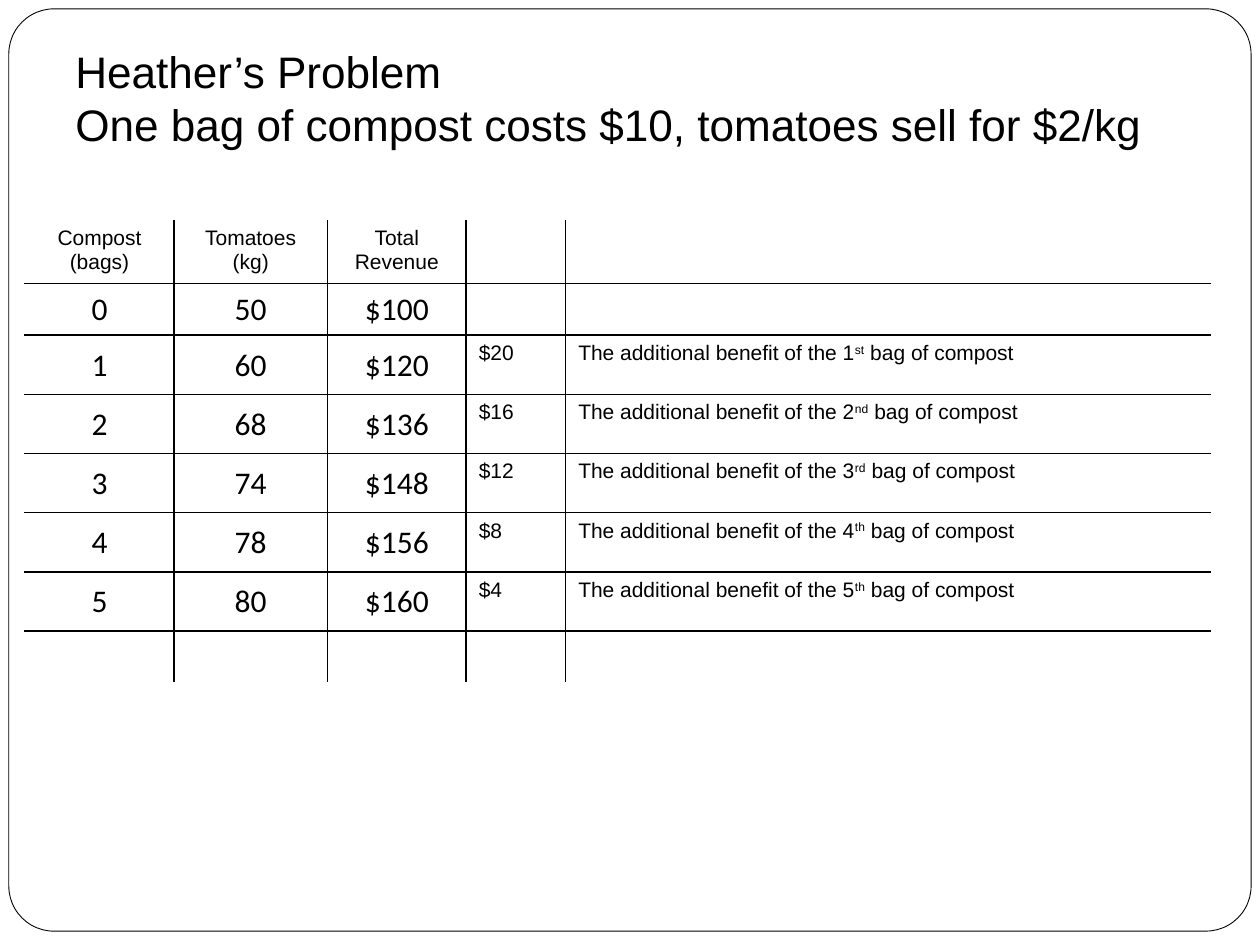
from dataclasses import dataclass

from lxml import etree
from pptx import Presentation
from pptx.dml.color import RGBColor
from pptx.enum.shapes import MSO_SHAPE
from pptx.enum.text import MSO_ANCHOR, PP_ALIGN
from pptx.oxml.ns import qn
from pptx.util import Inches, Pt

LEFT, CENTER = PP_ALIGN.LEFT, PP_ALIGN.CENTER
TOP, MIDDLE = MSO_ANCHOR.TOP, MSO_ANCHOR.MIDDLE
COLOURS = {"ink": "000000", "paper": "FFFFFF"}
WIDTH, HEIGHT = 10, 7.5

TITLE_LINES = [
    "Heather’s Problem",
    "One bag of compost costs $10, tomatoes sell for $2/kg",
]
HEADERS = ["Compost\n(bags)", "Tomatoes\n(kg)", "Total Revenue"]
HARVEST = [50, 60, 68, 74, 78, 80]  # kg of tomatoes, by bags of compost
ORDINALS = ["", "st", "nd", "rd", "th", "th"]
PRICE = 2

COLUMN_WIDTHS = [1.18, 1.22, 1.1, 0.79, 5.12]
ROW_HEIGHTS = [0.48, 0.41] + [0.47] * 5 + [0.41]


@dataclass
class TextStyle:
    font: str
    size: float
    align: PP_ALIGN = LEFT
    anchor: MSO_ANCHOR = TOP
    margin: float | None = None


TITLE_STYLE = TextStyle("Arial", 25.2)
HEADER_STYLE = TextStyle("Arial", 12, CENTER)
NUMBER_STYLE = TextStyle("Calibri", 18, CENTER, MIDDLE, 0.01)
NOTE_STYLE = TextStyle("Arial", 12)


def colour(name: str) -> RGBColor:
    return RGBColor.from_string(COLOURS[name])


def add_span(para, text: str, style: TextStyle, raised: bool = False) -> None:
    span = para.add_run()
    span.text = text
    for name, value in {"name": style.font, "size": Pt(style.size)}.items():
        setattr(span.font, name, value)
    span.font.color.rgb = colour("ink")
    if raised:
        span.font._element.set("baseline", "30000")


def write_cell(cell, spans: list[str], style: TextStyle) -> None:
    """Write spans into a cell; every second span is superscript."""
    cell.vertical_anchor = style.anchor
    if style.margin is not None:
        for side in ("left", "right", "top"):
            setattr(cell, f"margin_{side}", Inches(style.margin))
        cell.margin_bottom = 0
    frame = cell.text_frame
    for number, line in enumerate(spans[0].split("\n")):
        para = frame.add_paragraph() if number else frame.paragraphs[0]
        para.alignment = style.align
        add_span(para, line, style)
    for number, text in enumerate(spans[1:], 1):
        add_span(para, text, style, raised=number % 2 == 1)


def set_borders(cell, row: int, column: int) -> None:
    """Draw inner borders in ink and the table's outer edge in paper."""
    outer = {
        "L": column == 0,
        "R": column == len(COLUMN_WIDTHS) - 1,
        "T": row == 0,
        "B": row == len(ROW_HEIGHTS) - 1,
    }
    properties = cell._tc.get_or_add_tcPr()
    for position, (side, is_outer) in enumerate(outer.items()):
        line = etree.Element(qn(f"a:ln{side}"), w=str(Pt(1)))
        fill = etree.SubElement(line, qn("a:solidFill"))
        shade = COLOURS["paper" if is_outer else "ink"]
        etree.SubElement(fill, qn("a:srgbClr"), val=shade)
        properties.insert(position, line)


def add_frame(page) -> None:
    inset = 0.07
    frame = page.shapes.add_shape(
        MSO_SHAPE.ROUNDED_RECTANGLE, Inches(inset), Inches(inset),
        Inches(WIDTH - 2 * inset), Inches(7.32))
    frame.adjustments[0] = 0.049
    frame.shadow.inherit = False
    frame.fill.solid()
    frame.fill.fore_color.rgb = colour("paper")
    frame.line.color.rgb = colour("ink")
    frame.line.width = Pt(0.5)


def add_title(page) -> None:
    box = page.shapes.add_textbox(
        Inches(WIDTH * 0.05), Inches(HEIGHT * 0.04), Inches(WIDTH * 0.9), Inches(1.25))
    box.text_frame.word_wrap = True
    para = box.text_frame.paragraphs[0]
    para.line_spacing = Pt(30.5)
    for number, line in enumerate(TITLE_LINES):
        if number:
            para.add_line_break()
        add_span(para, line, TITLE_STYLE)


def add_benefit_table(page) -> None:
    table = page.shapes.add_table(
        len(ROW_HEIGHTS), len(COLUMN_WIDTHS), Inches(0.2), Inches(1.75),
        Inches(sum(COLUMN_WIDTHS)), Inches(sum(ROW_HEIGHTS))).table
    table.first_row = table.horz_banding = False
    for column, width in zip(table.columns, COLUMN_WIDTHS):
        column.width = Inches(width)
    for row, height in zip(table.rows, ROW_HEIGHTS):
        row.height = Inches(height)

    # Fills and borders
    for r in range(len(ROW_HEIGHTS)):
        for c in range(len(COLUMN_WIDTHS)):
            cell = table.cell(r, c)
            cell.fill.solid()
            cell.fill.fore_color.rgb = colour("paper")
            set_borders(cell, r, c)

    # Header row
    for c, header in enumerate(HEADERS):
        write_cell(table.cell(0, c), [header], HEADER_STYLE)

    # One row per number of bags, with the gain over the row before
    for bags, harvest in enumerate(HARVEST):
        row = bags + 1
        for c, text in enumerate([f"{bags}", f"{harvest}", f"${harvest * PRICE}"]):
            write_cell(table.cell(row, c), [text], NUMBER_STYLE)
        if bags:
            gain = (harvest - HARVEST[bags - 1]) * PRICE
            write_cell(table.cell(row, 3), [f"${gain}"], NOTE_STYLE)
            note = [f"The additional benefit of the {bags}", ORDINALS[bags], " bag of compost"]
            write_cell(table.cell(row, 4), note, NOTE_STYLE)


def main() -> None:
    deck = Presentation()
    deck.slide_width, deck.slide_height = Inches(WIDTH), Inches(HEIGHT)
    page = deck.slides.add_slide(deck.slide_layouts[6])
    add_frame(page)
    add_title(page)
    add_benefit_table(page)
    deck.save("out.pptx")


if __name__ == "__main__":
    main()
